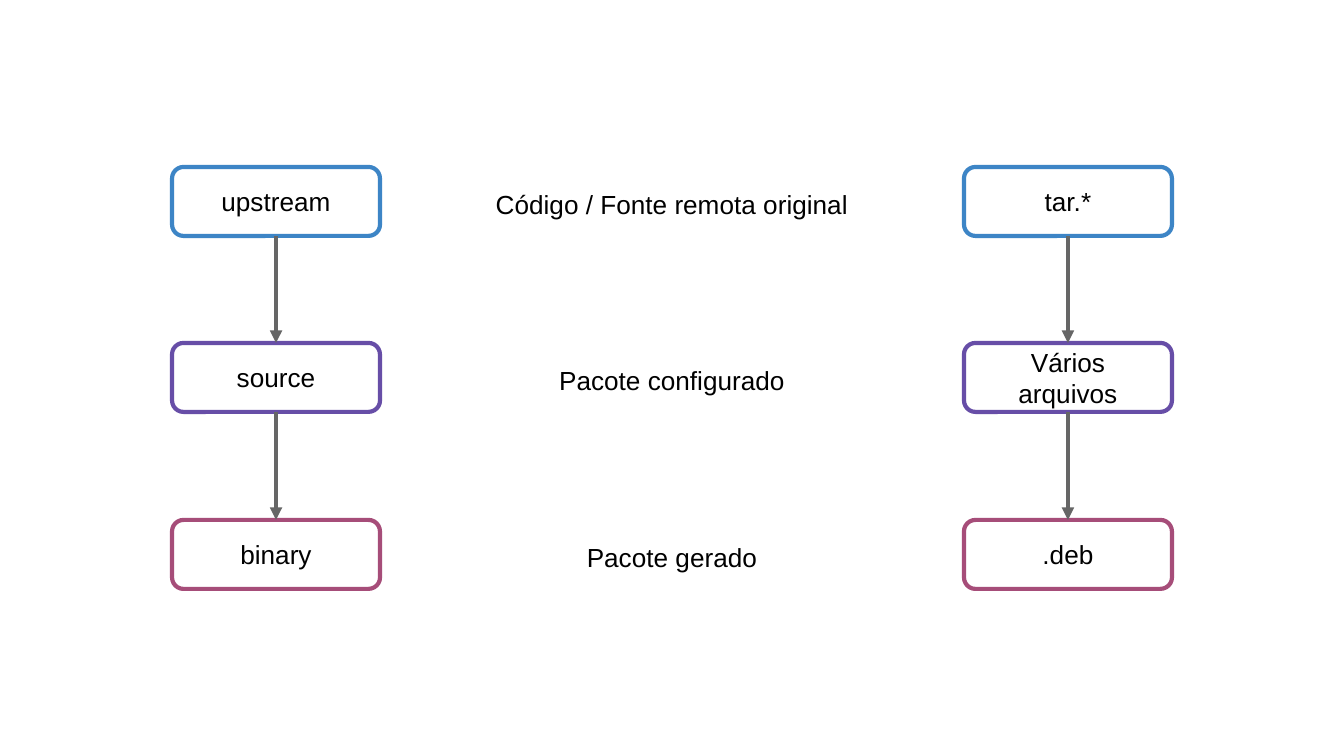
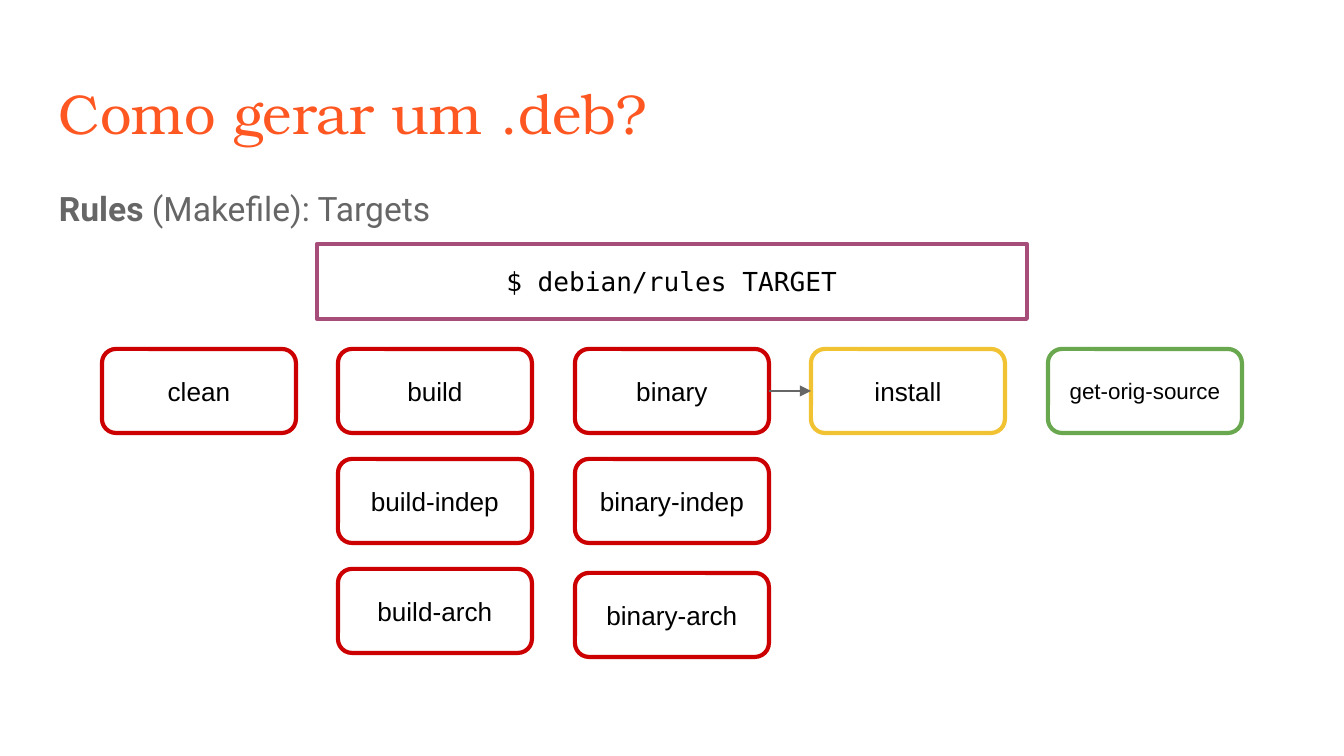
from dataclasses import dataclass

from lxml import etree
from pptx import Presentation
from pptx import util as u
from pptx.dml.color import RGBColor
from pptx.enum import shapes, text
from pptx.oxml import ns

SCALE = 914400 / 134.4  # EMU in one pixel


@dataclass(frozen=True)
class Theme:
    """Colours, fonts and type sizes shared by the slides."""
    background: str = "FFFFFF"
    ink: str = "000000"
    grey: str = "666666"
    title: str = "FF5722"
    blue: str = "3D85C6"
    purple: str = "674EA7"
    plum: str = "A64D79"
    red: str = "CC0000"
    yellow: str = "F1C232"
    green: str = "6AA84F"
    label_font: str = "Arial"
    code_font: str = "DejaVu Sans Mono"
    body_font: str = "Roboto"
    title_font: str = "TeX Gyre Bonum"
    title_size: int = 30
    body_size: int = 18
    label_size: int = 14
    small_size: int = 12
    line_width: float = 2.25
    thin_line: float = 1.5
    inset: int = 13


theme = Theme()


def add_text(slide, area, wording, outline=None, kind=shapes.MSO_SHAPE.ROUNDED_RECTANGLE,
             font=theme.label_font, size=theme.label_size, color=theme.ink,
             align=text.PP_ALIGN.CENTER):
    """Add a text box, or an outlined shape if an outline colour is given."""
    left, top, width, height = (u.Emu(round(pixels * SCALE)) for pixels in area)
    if outline:
        shape = slide.shapes.add_shape(kind, left, top, width, height)
        shape.shadow.inherit = False
        shape.fill.background()
        shape.line.color.rgb = RGBColor.from_string(outline)
        shape.line.width = u.Pt(theme.line_width)
    else:
        shape = slide.shapes.add_textbox(left, top, width, height)
    frame = shape.text_frame
    frame.word_wrap = True
    frame.vertical_anchor = text.MSO_ANCHOR.MIDDLE if outline else text.MSO_ANCHOR.TOP
    inset = u.Emu(round(theme.inset * SCALE))
    frame.margin_left = frame.margin_right = inset
    frame.margin_top = frame.margin_bottom = inset
    frame.text = wording
    paragraph = frame.paragraphs[0]
    paragraph.alignment = align
    for run in paragraph.runs:
        run.font.name = font
        run.font.size = u.Pt(size)
        run.font.color.rgb = RGBColor.from_string(color)
    return shape


def add_arrow(slide, start, start_site, end, end_site, width):
    """Join two shapes with a grey arrow glued to their connection sites."""
    arrow = slide.shapes.add_connector(shapes.MSO_CONNECTOR.STRAIGHT, 0, 0, 0, 0)
    arrow.begin_connect(start, start_site)
    arrow.end_connect(end, end_site)
    arrow.line.color.rgb = RGBColor.from_string(theme.grey)
    arrow.line.width = u.Pt(width)
    line = arrow.line._get_or_add_ln()
    etree.SubElement(line, ns.qn("a:tailEnd"), type="triangle", w="med", len="med")
    etree.SubElement(arrow._element.spPr, ns.qn("a:effectLst"))


TOP, LEFT, BOTTOM, RIGHT = range(4)  # connection sites of a box

presentation = Presentation()
presentation.slide_width = u.Emu(round(1344 * SCALE))
presentation.slide_height = u.Emu(round(756 * SCALE))
flow_slide, targets_slide = (
    presentation.slides.add_slide(presentation.slide_layouts[6]) for _ in range(2))
for slide in (flow_slide, targets_slide):
    slide.background.fill.solid()
    slide.background.fill.fore_color.rgb = RGBColor.from_string(theme.background)

# Slide 1: package stages on the left, their files on the right
stages = [
    ("upstream", "Código / Fonte remota original", "tar.*", theme.blue),
    ("source", "Pacote configurado", "Vários arquivos", theme.purple),
    ("binary", "Pacote gerado", ".deb", theme.plum),
]
stage_boxes, file_boxes = [], []
for row, (stage, description, files, color) in enumerate(stages):
    top = 167 + 353 * row // 2
    stage_boxes.append(add_text(flow_slide, (172, top, 208, 69), stage, color))
    add_text(flow_slide, (480, top + 8, 384, 54), description)
    file_boxes.append(add_text(flow_slide, (964, top, 208, 69), files, color))
for column in (stage_boxes, file_boxes):
    for upper, lower in zip(column, column[1:]):
        add_arrow(flow_slide, upper, BOTTOM, lower, TOP, theme.line_width)

# Slide 2: title, subtitle and command
add_text(targets_slide, (46, 66, 1252, 85), "Como gerar um .deb?",
         font=theme.title_font, size=theme.title_size, color=theme.title,
         align=text.PP_ALIGN.LEFT)
subtitle = add_text(targets_slide, (46, 169, 1252, 75), "Rules ",
                    font=theme.body_font, size=theme.body_size, color=theme.grey,
                    align=text.PP_ALIGN.LEFT)
paragraph = subtitle.text_frame.paragraphs[0]
paragraph.line_spacing = 1.15
paragraph.space_after = u.Pt(16)
paragraph.runs[0].font.bold = True
detail = paragraph.add_run()
detail.text = "(Makefile): Targets"
detail.font.name = theme.body_font
detail.font.size = u.Pt(theme.body_size)
detail.font.color.rgb = RGBColor.from_string(theme.grey)
add_text(targets_slide, (317, 244, 710, 75), "$ debian/rules TARGET", theme.plum,
         shapes.MSO_SHAPE.RECTANGLE, font=theme.code_font)

# Slide 2: one column of boxes per target
target_columns = [
    (theme.red, ["clean"]),
    (theme.red, ["build", "build-indep", "build-arch"]),
    (theme.red, ["binary", "binary-indep", "binary-arch"]),
    (theme.yellow, ["install"]),
    (theme.green, ["get-orig-source"]),
]
lowered = {"binary-arch": 4}  # pixels below the regular row
target_boxes = {}
for column, (color, targets) in enumerate(target_columns):
    for row, target in enumerate(targets):
        area = (102 + 946 * column // 4, 349 + 110 * row + lowered.get(target, 0), 194, 84)
        size = theme.small_size if target == "get-orig-source" else theme.label_size
        target_boxes[target] = add_text(targets_slide, area, target, color, size=size)
add_arrow(targets_slide, target_boxes["binary"], RIGHT, target_boxes["install"], LEFT,
          theme.thin_line)

presentation.save("out.pptx")
